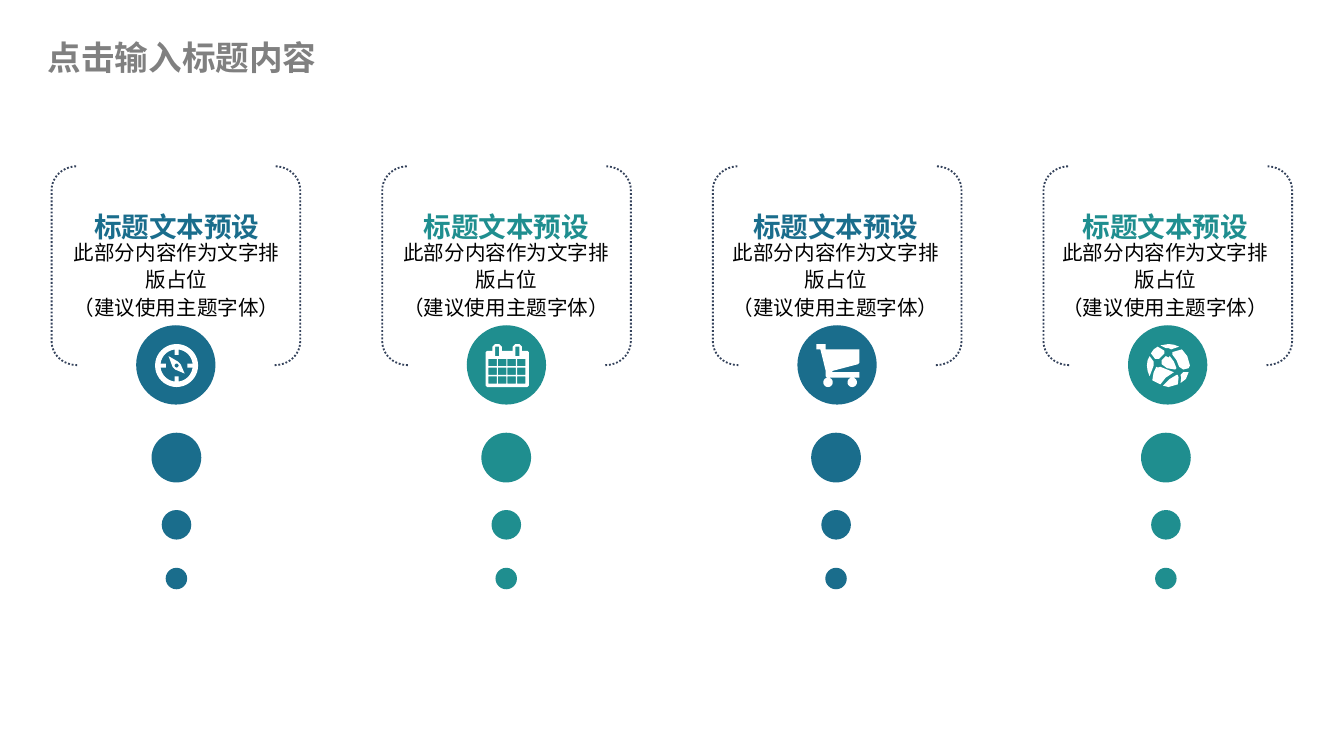
import math

from pptx import Presentation, util as u
from pptx.dml.color import RGBColor
from pptx.enum import dml, shapes, text
from pptx.oxml.ns import qn

COLORS = {"blue": "1A6D8C", "teal": "1F8E8F", "navy": "34425B",
          "gray": "808080", "black": "000000", "white": "FFFFFF"}
CELL = u.Inches(0.1)          # the slide is a grid of 100 columns by 56.25 rows
COLUMNS, ROWS = 100, 56.25
CJK_FONT = "Noto Sans CJK SC"


def grid(*lengths):
    return [u.Emu(round(length * CELL)) for length in lengths]


def color(name):
    return RGBColor.from_string(COLORS[name])


# Icon outlines, in hundredths of an inch; an inner outline cuts a hole
def disc(x, y, r, steps=40):
    return [(x + r * math.cos(2 * math.pi * i / steps),
             y + r * math.sin(2 * math.pi * i / steps)) for i in range(steps)]


def box(x, y, w, h):
    return [(x, y), (x + w, y), (x + w, y + h), (x, y + h)]


def compass():
    ticks = [box(14.5, 4, 3, 4), box(14.5, 24, 3, 4),
             box(4, 14.5, 4, 3), box(24, 14.5, 4, 3)]
    needle = [(10, 9), (17, 13), (19, 15), (22, 22), (15, 19), (13, 17)]
    return [disc(16, 16, 16), disc(16, 16, 12), *ticks, needle, disc(16, 16, 1.5)]


def calendar():
    page = [(0, 6), (1, 5), (5, 5), (5, 2), (7, 0), (10, 0), (12, 2), (12, 5),
            (20, 5), (20, 2), (22, 0), (25, 0), (27, 2), (27, 5), (31, 5),
            (32, 6), (32, 31), (31, 32), (1, 32), (0, 31)]
    slots = [box(x, 2, 3, 7) for x in (7, 22)]
    days = [box(2 + 7.1 * i, 11 + 6.5 * j, 6.2, 5.5)
            for j in range(3) for i in range(4)]
    return [page, *slots, *days]


def cart():
    basket = [(0, 0), (7, 0), (7, 4), (32, 4), (32, 14), (31, 15), (12, 20),
              (12, 21), (32, 21), (32, 25), (8, 25), (7, 24), (7, 20), (3, 4), (0, 4)]
    return [basket, disc(8.7, 28.5, 3.5), disc(26.7, 28.5, 3.5)]


def globe():
    return [
        [(22, 23), (17, 26), (12, 31), (16, 32), (23, 30), (23.5, 25), (23, 23)],
        [(26, 4), (19, 6), (19, 8), (22, 12), (24, 17), (27, 19), (31, 18),
         (32, 16), (30, 9)],
        [(20, 21), (10, 17), (8, 17.5), (7, 17), (5, 21), (4, 27), (10, 30), (14, 25)],
        [(25, 23), (25.5, 25), (25, 29), (29, 26), (31, 21), (27, 21)],
        [(21, 19), (22, 18), (20, 13), (17, 9), (16, 10), (14, 9), (11, 12),
         (11, 15), (15, 18)],
        [(16, 3), (18, 4), (24, 2), (20, 0.5), (16, 0), (10, 1), (14, 3)],
        [(5, 14), (5, 13), (2, 9), (0.5, 12), (0, 16), (0.5, 20), (2, 24), (5, 16)],
        [(8, 11), (9, 11), (13, 7), (13, 5), (8, 2), (5, 4), (3, 7), (6, 11)],
    ]


class Deck:
    def __init__(self):
        self.file = Presentation()
        self.file.slide_width, self.file.slide_height = grid(COLUMNS, ROWS)
        self.slide = self.file.slides.add_slide(self.file.slide_layouts[6])

    def circle(self, x, y, size, fill):
        dot = self.slide.shapes.add_shape(
            shapes.MSO_SHAPE.OVAL, *grid(x, y, size, size))
        self.paint(dot, fill)

    def paint(self, shape, fill):
        shape.shadow.inherit = False
        shape.fill.solid()
        shape.fill.fore_color.rgb = color(fill)
        shape.line.fill.background()

    def bracket(self, x, y, w, h, flipped=False):
        side = self.slide.shapes.add_shape(
            shapes.MSO_SHAPE.LEFT_BRACKET, *grid(x, y, w, h))
        side.adjustments[0] = 0.93
        side.shadow.inherit = False
        side.fill.background()
        side.line.color.rgb = color("navy")
        side.line.width = u.Pt(1)
        side.line.dash_style = dml.MSO_LINE.ROUND_DOT
        if flipped:
            side._element.spPr.find(qn("a:xfrm")).set("flipH", "1")

    def icon(self, x, y, outlines):
        fine = [[(px * 100, py * 100) for px, py in line] for line in outlines]
        pen = self.slide.shapes.build_freeform(*fine[0][0], scale=CELL / 1000)
        for outline in fine:
            pen.move_to(*outline[0])
            pen.add_line_segments(outline[1:], close=True)
        self.paint(pen.convert_to_shape(*grid(x, y)), "white")

    def words(self, x, y, w, h, content, size, ink, bold=False, font="Calibri",
              align=text.PP_ALIGN.CENTER, anchor=text.MSO_ANCHOR.TOP,
              insets=(1.5, 0), spacing=None, wrap=True):
        frame = self.slide.shapes.add_textbox(*grid(x, y, w, h)).text_frame
        frame.word_wrap = wrap
        frame.vertical_anchor = anchor
        frame.margin_left, frame.margin_top = grid(*insets)
        frame.margin_right, frame.margin_bottom = grid(*insets)
        paragraph = frame.paragraphs[0]
        paragraph.text = content
        paragraph.alignment = align
        paragraph.line_spacing = spacing
        for run in paragraph.runs:
            run.font.size = u.Pt(size)
            run.font.bold = bold
            run.font.name = font
            run.font.color.rgb = color(ink)
            east_asian = run._r.get_or_add_rPr().makeelement(
                qn("a:ea"), {"typeface": CJK_FONT})
            run.font._element.find(qn("a:latin")).addnext(east_asian)


def main():
    deck = Deck()

    # Four cards: brackets, badge with icon, heading and body
    for i, outlines in enumerate((compass(), calendar(), cart(), globe())):
        accent = ("blue", "teal")[i % 2]
        left = 3.84 + 24.6 * i
        deck.bracket(left, 12.37, 1.9, 14.8)
        deck.bracket(left + 16.6, 12.37, 1.9, 14.8, flipped=True)
        deck.circle(left + 6.29, 24.2, 5.9, accent)
        deck.icon(left + 7.7, 25.6, outlines)

        text_left = 3.9 + 24.52 * i
        deck.words(text_left, 15.6, 18.5, 2, "标题文本预设", 14.8, accent,
                   bold=True, wrap=False)
        deck.words(text_left, 17.7, 18.5, 6.2,
                   "此部分内容作为文字排版占位\n（建议使用主题字体）", 11, "black",
                   spacing=1.1)

        # Trail of shrinking dots on one axis
        axis = 13.13 + 24.54 * i
        for top, size in ((32.2, 3.7), (37.95, 2.2), (42.25, 1.6)):
            deck.circle(axis - size / 2, top, size, accent)

    # Slide title
    deck.words(3.55, 2.15, 23.3, 4.2, "点击输入标题内容", 18, "gray", bold=True,
               font=CJK_FONT, align=text.PP_ALIGN.LEFT,
               anchor=text.MSO_ANCHOR.MIDDLE, insets=(0, 0.5))

    deck.file.save("out.pptx")


if __name__ == "__main__":
    main()
